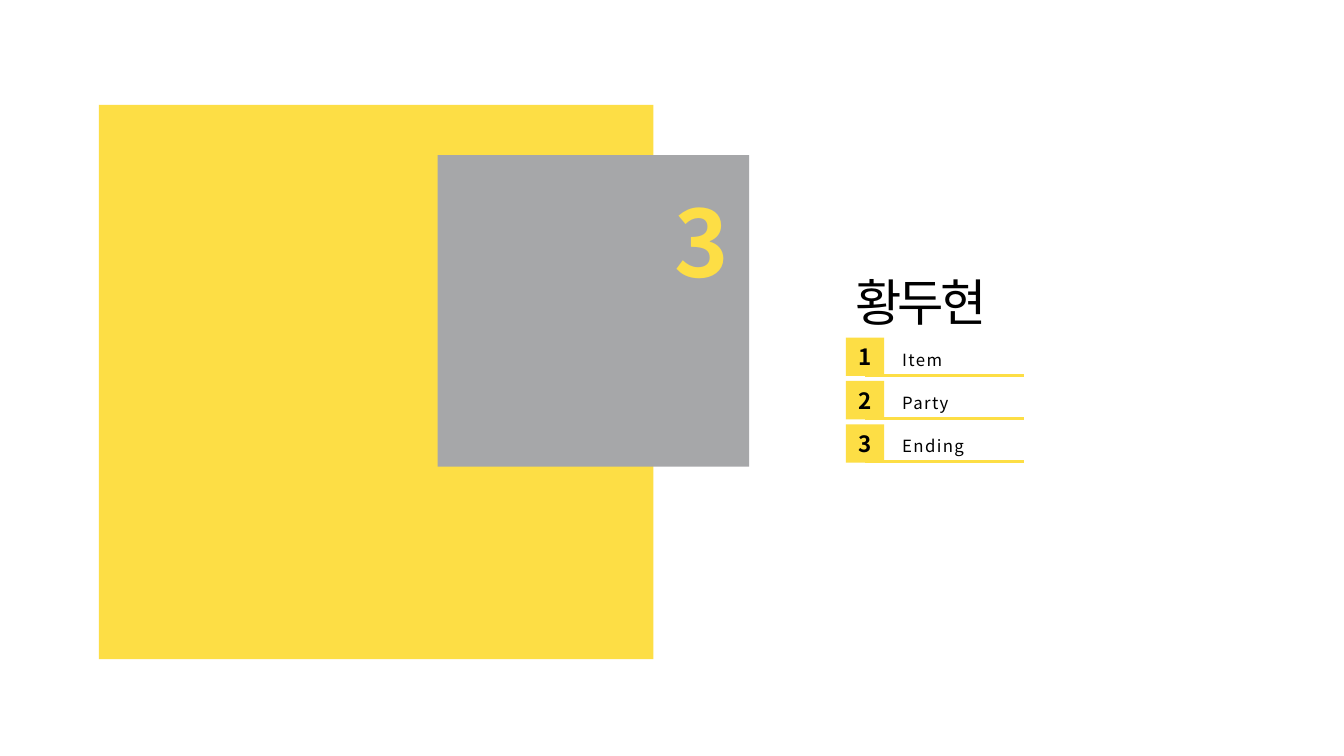
from lxml.etree import SubElement
from pptx import Presentation
from pptx.dml.color import RGBColor
from pptx.enum.shapes import MSO_CONNECTOR, MSO_SHAPE
from pptx.enum.text import MSO_ANCHOR, MSO_AUTO_SIZE, PP_ALIGN
from pptx.oxml.ns import qn
from pptx.util import Inches, Pt

YELLOW = RGBColor(0xFD, 0xDE, 0x45)
GRAY = RGBColor(0xA6, 0xA7, 0xA9)
BLACK = RGBColor(0x00, 0x00, 0x00)
FONT = "Noto Sans CJK KR"

deck = Presentation()
deck.slide_width = Inches(13.33)
deck.slide_height = Inches(7.5)
page = deck.slides.add_slide(deck.slide_layouts[6])
column = deck.slide_width / 100
row = deck.slide_height / 100


def add_block(left, top, width, height, color):
    block = page.shapes.add_shape(
        MSO_SHAPE.RECTANGLE,
        round(left * column), round(top * row),
        round(width * column), round(height * row),
    )
    block.shadow.inherit = False
    block.fill.solid()
    block.fill.fore_color.rgb = color
    block.line.fill.background()
    return block


def add_words(box, words, size, color, bold=False, spacing=0):
    para = box.text_frame.paragraphs[0]
    span = para.add_run()
    span.text = words
    span.font.size = Pt(size)
    span.font.bold = bold
    span.font.name = FONT
    span.font.color.rgb = color
    properties = span.font._element
    properties.set("spc", str(spacing * 100))
    SubElement(properties, qn("a:ea")).set("typeface", FONT)
    return para


add_block(7.35, 13.87, 41.26, 73.33, YELLOW)
add_block(32.56, 20.53, 23.18, 41.2, GRAY)

list_left = 62.94
list_top = 44.67
list_pitch = 5.73
items = ["Item", "Party", "Ending"]

texts = [
    (list_left, 35.2, 11.93, 9.47, "황두현", 36, BLACK, False, -3, False),
    (49.44, 23.87, 5.55, 16.13, "3", 66, YELLOW, True, 0, False),
]
for index, item in enumerate(items):
    label_top = list_top + index * list_pitch + 0.9
    texts.append((66.39, label_top, 10.35, 4, item, 12, BLACK, False, 1, True))

for index in range(len(items)):
    top = list_top + index * list_pitch
    badge = add_block(list_left, top, 2.85, 5.07, YELLOW)
    badge.text_frame.vertical_anchor = MSO_ANCHOR.MIDDLE
    number = add_words(badge, str(index + 1), 16, BLACK, bold=True)
    number.alignment = PP_ALIGN.CENTER

    line_top = round((top + 4.95) * row)
    underline = page.shapes.add_connector(
        MSO_CONNECTOR.STRAIGHT,
        round(64.37 * column), line_top, round(76.22 * column), line_top,
    )
    underline.line.color.rgb = YELLOW
    underline.line.width = Pt(2.25)
    SubElement(underline._element.spPr, qn("a:effectLst"))

for left, top, width, height, words, size, color, bold, spacing, wrap in texts:
    box = page.shapes.add_textbox(
        round(left * column), round(top * row),
        round(width * column), round(height * row),
    )
    box.text_frame.word_wrap = wrap
    box.text_frame.auto_size = MSO_AUTO_SIZE.SHAPE_TO_FIT_TEXT
    add_words(box, words, size, color, bold, spacing)

deck.save("out.pptx")
